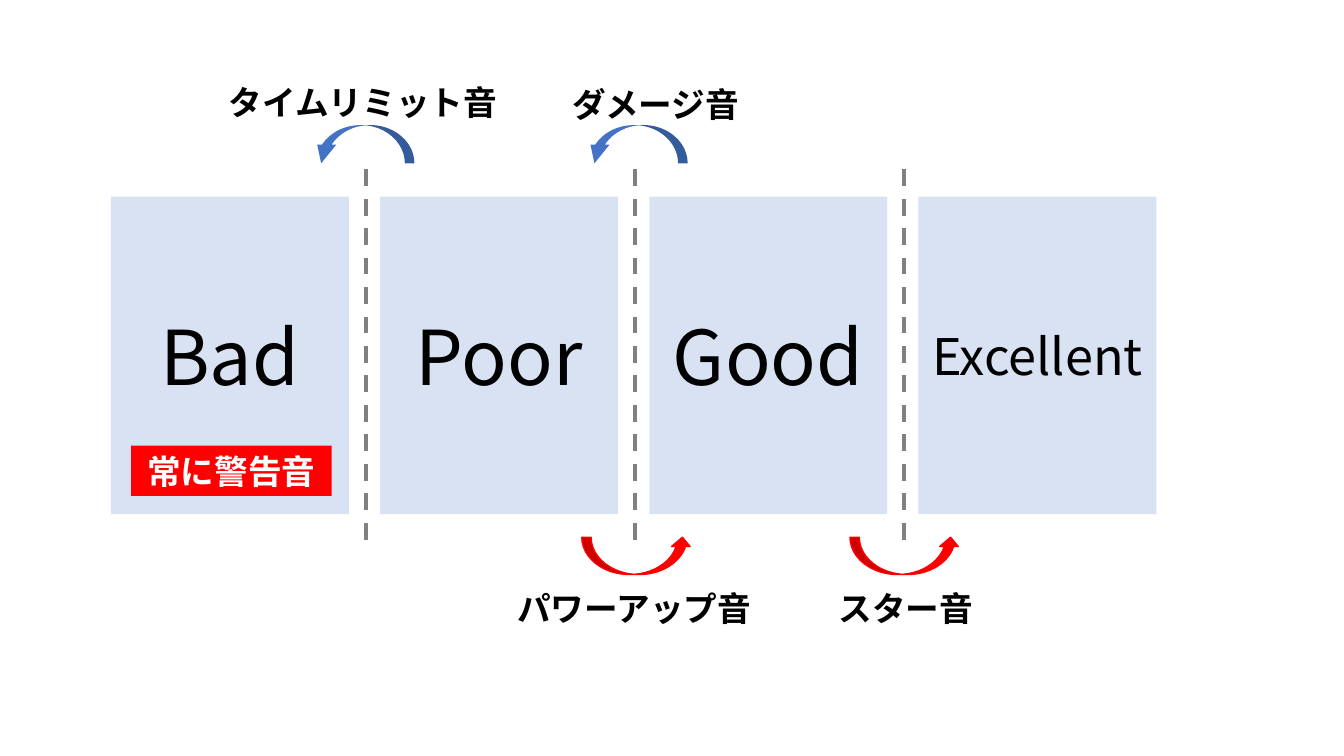
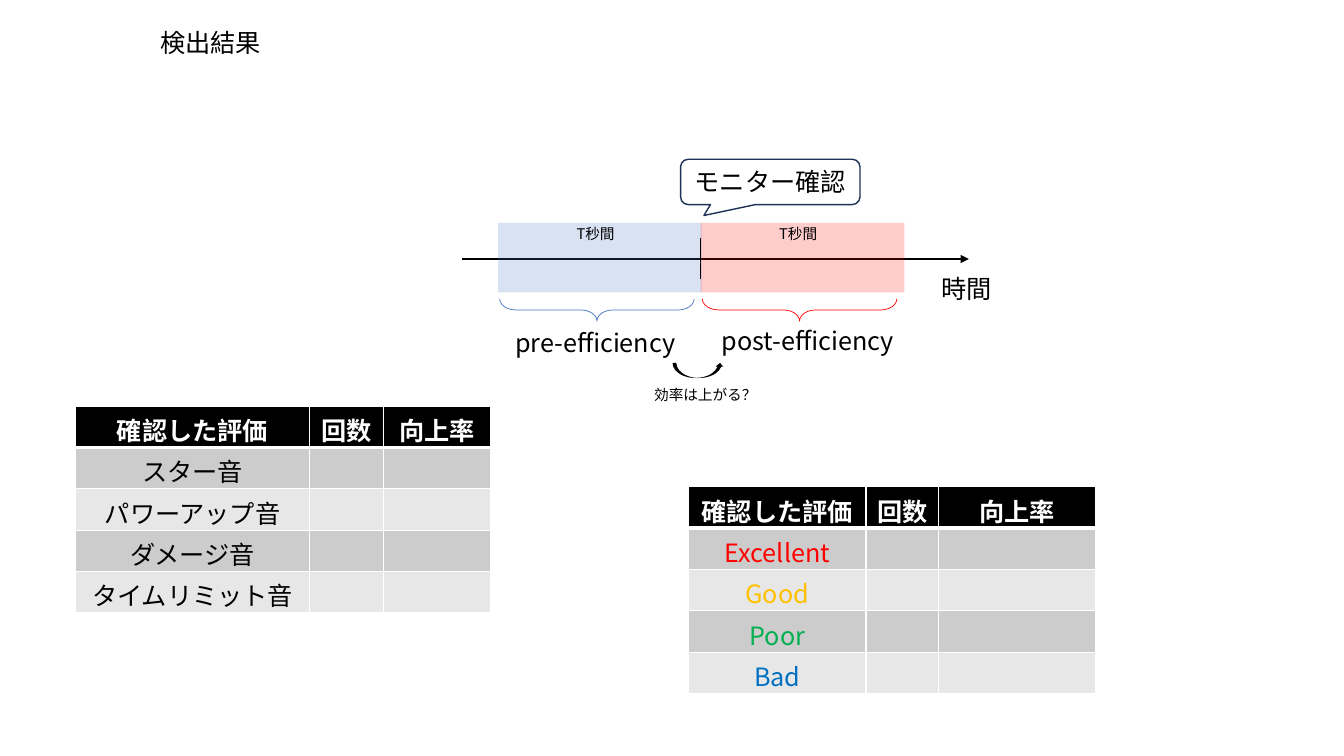
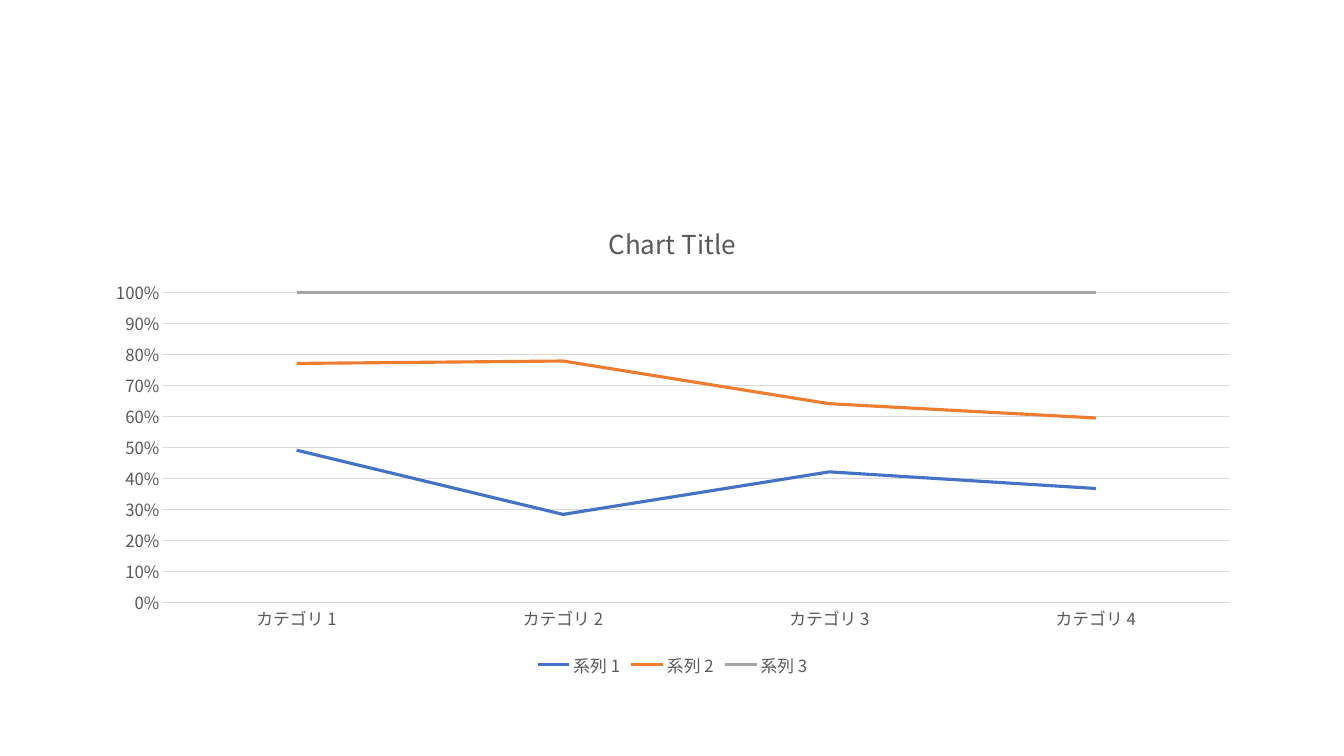
from dataclasses import dataclass

from lxml.etree import SubElement
from pptx import Presentation
from pptx.chart.data import CategoryChartData
from pptx.dml.color import RGBColor
from pptx.enum.chart import XL_CHART_TYPE, XL_LEGEND_POSITION, XL_TICK_MARK
from pptx.enum.dml import MSO_LINE
from pptx.enum.shapes import MSO_CONNECTOR, MSO_SHAPE
from pptx.enum.text import MSO_ANCHOR, MSO_AUTO_SIZE, PP_ALIGN
from pptx.oxml.ns import qn
from pptx.util import Inches, Pt


@dataclass(frozen=True)
class Theme:
    """Colours, type sizes and font shared by all slides."""
    font: str = "Noto Sans CJK JP"
    black: str = "000000"
    white: str = "FFFFFF"
    blue: str = "4472C4"
    red: str = "FF0000"
    gray: str = "808080"
    navy: str = "1E3256"
    ink: str = "595959"
    rule: str = "D9D9D9"
    bands: tuple = ("CCCCCC", "E7E7E7")
    grades: tuple = ("FF0000", "FFC000", "00B050", "0070C0")
    series: tuple = ("4472C4", "ED7D31", "A5A5A5")
    huge: float = 54
    large: float = 36
    label: float = 24
    head: float = 18.6
    body: float = 18
    axis: float = 12
    small: float = 10.5


def box(at):
    """Turn numbers into inch lengths."""
    return [Inches(n) for n in at]


class Deck:
    """Holds the style and the current slide, and draws on it."""

    def __init__(self, theme):
        """Start an empty wide deck."""
        self.theme = theme
        self.show = Presentation()
        self.show.slide_width, self.show.slide_height = box((13.33, 7.5))

    def page(self, title=None, at=None):
        """Add a slide, with a title when one is given."""
        layout = self.show.slide_layouts[5 if title else 6]
        self.slide = self.show.slides.add_slide(layout)
        if title:
            head = self.slide.shapes.title
            head.left, head.top, head.width, head.height = box(at)
            self.put(head.text_frame, title, self.theme.body)
            head.text_frame.auto_size = MSO_AUTO_SIZE.NONE

    def style(self, font, size, color, bold=False):
        """Format a font."""
        font.name, font.size, font.bold = self.theme.font, Pt(size), bold
        font.color.rgb = RGBColor.from_string(color)

    def put(self, frame, text, size, color=None, bold=False,
            align=PP_ALIGN.LEFT, anchor=MSO_ANCHOR.TOP):
        """Put one run into a text frame."""
        frame.word_wrap = True
        frame.vertical_anchor = anchor
        para = frame.paragraphs[0]
        para.alignment = align
        run = para.add_run()
        run.text = text
        self.style(run.font, size, color or self.theme.black, bold)

    def text(self, at, words, size, bold=False):
        """Add a text box."""
        frame = self.slide.shapes.add_textbox(*box(at)).text_frame
        self.put(frame, words, size, bold=bold)
        frame.auto_size = MSO_AUTO_SIZE.SHAPE_TO_FIT_TEXT

    def shape(self, kind, at, fill=None, alpha=None, line=None, width=1,
              turn=0, adjust=(), words="", size=None, color=None, bold=False):
        """Add a preset shape with optional centred text."""
        item = self.slide.shapes.add_shape(kind, *box(at))
        item.shadow.inherit = False
        item.rotation = turn
        for spot, value in enumerate(adjust):
            item.adjustments[spot] = value
        if fill:
            item.fill.solid()
            item.fill.fore_color.rgb = RGBColor.from_string(fill)
        else:
            item.fill.background()
        if alpha:
            tint = item.element.spPr.find(qn("a:solidFill"))[0]
            SubElement(tint, qn("a:alpha"), val=str(alpha * 1000))
        if line:
            item.line.color.rgb = RGBColor.from_string(line)
            item.line.width = Pt(width)
        else:
            item.line.fill.background()
        if words:
            self.put(item.text_frame, words, size, color, bold,
                     PP_ALIGN.CENTER, MSO_ANCHOR.MIDDLE)

    def line(self, ends, color, width, dash=None, arrow=False):
        """Add a straight line or arrow."""
        item = self.slide.shapes.add_connector(MSO_CONNECTOR.STRAIGHT, *box(ends))
        item.line.color.rgb = RGBColor.from_string(color)
        item.line.width = Pt(width)
        if dash:
            item.line.dash_style = dash
        props = item.element.spPr
        if arrow:
            SubElement(props.find(qn("a:ln")), qn("a:tailEnd"), type="triangle")
        SubElement(props, qn("a:effectLst"))

    def edge(self, cell, row):
        """Rule a cell in white, heavy below the header."""
        heavy = {"T": row == 1, "B": row == 0}
        props = cell._tc.get_or_add_tcPr()
        for side in "LRTB":
            width = Pt(3 if heavy.get(side) else 1)
            rule = SubElement(props, qn("a:ln" + side), w=str(width))
            fill = SubElement(rule, qn("a:solidFill"))
            SubElement(fill, qn("a:srgbClr"), val=self.theme.white)

    def table(self, spot, widths, heads, names, colors, high=0.41):
        """Add a table with names in its first column."""
        theme = self.theme
        rows = [heads] + [(name, "", "") for name in names]
        at = (*spot, sum(widths), high * len(rows))
        grid = self.slide.shapes.add_table(len(rows), len(widths), *box(at)).table
        grid.horz_banding = False
        for col, width in zip(grid.columns, widths):
            col.width = Inches(width)
        for r, row in enumerate(rows):
            for c, words in enumerate(row):
                cell = grid.cell(r, c)
                self.edge(cell, r)
                back = theme.bands[(r - 1) % 2] if r else theme.black
                cell.fill.solid()
                cell.fill.fore_color.rgb = RGBColor.from_string(back)
                if words:
                    color = colors[r - 1] if r else theme.white
                    para = cell.text_frame.paragraphs[0]
                    para.alignment = PP_ALIGN.CENTER
                    run = para.add_run()
                    run.text = words
                    self.style(run.font, theme.body, color, r == 0)

    def chart(self, at, title, cats, series):
        """Add a full-stacked line chart."""
        theme = self.theme
        data = CategoryChartData()
        data.categories = cats
        for name, values in series:
            data.add_series(name, values)
        chart = self.slide.shapes.add_chart(
            XL_CHART_TYPE.LINE_STACKED_100, *box(at), data).chart
        self.style(chart.font, theme.axis, theme.ink)
        chart.has_title = True
        run = chart.chart_title.text_frame.paragraphs[0].add_run()
        run.text = title
        self.style(run.font, theme.head, theme.ink)
        chart.has_legend = True
        chart.legend.position = XL_LEGEND_POSITION.BOTTOM
        chart.legend.include_in_layout = False
        self.style(chart.legend.font, theme.axis, theme.ink)
        rule = RGBColor.from_string(theme.rule)
        for axis in (chart.category_axis, chart.value_axis):
            axis.major_tick_mark = axis.minor_tick_mark = XL_TICK_MARK.NONE
            self.style(axis.tick_labels.font, theme.axis, theme.ink)
        chart.category_axis.format.line.color.rgb = rule
        chart.category_axis.format.line.width = Pt(0.75)
        scale = chart.value_axis
        scale.format.line.fill.background()
        scale.tick_labels.number_format = "0%"
        scale.tick_labels.number_format_is_linked = False
        scale.major_gridlines.format.line.color.rgb = rule
        scale.major_gridlines.format.line.width = Pt(0.75)
        chart.plots[0].vary_by_categories = False
        for item, color in zip(chart.plots[0].series, theme.series):
            item.smooth = False
            item.format.line.color.rgb = RGBColor.from_string(color)
            item.format.line.width = Pt(2.25)
        self.asian(chart.element)

    def asian(self, root):
        """Use the same font for Japanese text."""
        for latin in list(root.iter(qn("a:latin"))):
            east = SubElement(latin.getparent(), qn("a:ea"), typeface=self.theme.font)
            latin.addnext(east)

    def finish(self):
        """Set Japanese fonts on every slide."""
        for slide in self.show.slides:
            self.asian(slide.element)
        return self.show


def states(deck):
    """Draw the four ratings and the sounds between them."""
    theme = deck.theme
    deck.page()
    left, step = 1.1, 2.67
    for n, name in enumerate(("Bad", "Poor", "Good", "Excellent")):
        x = left + n * step
        size = theme.large if name == "Excellent" else theme.huge
        deck.shape(MSO_SHAPE.RECTANGLE, (x, 1.95, 2.36, 3.15), theme.blue, 20,
                   words=name, size=size)
        if n:
            deck.line((x - 0.14, 1.68, x - 0.14, 5.43), theme.gray, 3, MSO_LINE.DASH)
    for x in (5.77, 8.43):
        deck.shape(MSO_SHAPE.CURVED_UP_ARROW, (x, 5.33, 1.09, 0.37),
                   theme.red, line=theme.red)
    for x in (3.09, 5.8):
        deck.shape(MSO_SHAPE.CURVED_UP_ARROW, (x, 1.24, 1.02, 0.38), theme.blue,
                   turn=180, adjust=(0.25, 0.5, 0.49))
    for x, y, width, words in (
            (2.17, 0.76, 2.91, "タイムリミット音"), (5.58, 0.78, 2.17, "ダメージ音"),
            (5.03, 5.78, 2.64, "パワーアップ音"), (8.22, 5.78, 2.17, "スター音")):
        deck.text((x, y, width, 0.5), words, theme.label, True)
    deck.shape(MSO_SHAPE.RECTANGLE, (1.3, 4.42, 1.99, 0.5), theme.red,
               words="常に警告音", size=theme.label, color=theme.white, bold=True)


def results(deck):
    """Draw the timeline and both result tables."""
    theme = deck.theme
    deck.page("検出結果", (1.49, 0.22, 1.32, 0.4))
    deck.line((4.58, 2.57, 9.61, 2.57), theme.black, 1.5, arrow=True)
    deck.text((9.24, 2.66, 0.7, 0.4), "時間", theme.body)
    deck.shape(MSO_SHAPE.ROUNDED_RECTANGULAR_CALLOUT, (6.75, 1.58, 1.78, 0.45),
               line=theme.navy, adjust=(-0.37, 0.74, 0.17),
               words="モニター確認", size=theme.body)
    for x, color in ((4.94, theme.blue), (6.95, theme.red)):
        deck.shape(MSO_SHAPE.RECTANGLE, (x, 2.21, 2.02, 0.69), color, 20)
        deck.shape(MSO_SHAPE.RIGHT_BRACE, (x + 0.87, 2.11, 0.22, 1.93),
                   line=color, width=0.5, turn=90, adjust=(0.73, 0.5))
        deck.text((x + 0.68, 2.18, 0.6, 0.28), "T秒間", theme.small)
    deck.line((6.95, 2.36, 6.95, 2.77), theme.black, 1)
    deck.text((5.01, 3.2, 1.82, 0.4), "pre-efficiency", theme.body)
    deck.text((7.06, 3.18, 2.02, 0.4), "post-efficiency", theme.body)
    deck.shape(MSO_SHAPE.CURVED_UP_ARROW, (6.67, 3.6, 0.51, 0.15), theme.black)
    deck.text((6.39, 3.78, 1.25, 0.28), "効率は上がる？", theme.small)
    heads = ("確認した評価", "回数", "向上率")
    deck.table((0.75, 4.03), (2.32, 0.73, 1.07), heads,
               ("スター音", "パワーアップ音", "ダメージ音", "タイムリミット音"),
               (theme.black,) * 4)
    deck.table((6.83, 4.83), (1.76, 0.72, 1.56), heads,
               ("Excellent", "Good", "Poor", "Bad"), theme.grades)


def trend(deck):
    """Draw the chart slide."""
    deck.page()
    deck.chart((0.92, 2, 11.5, 4.76), "Chart Title",
               [f"カテゴリ {n}" for n in range(1, 5)],
               (("系列 1", (49, 28, 42, 37)), ("系列 2", (28, 49, 22, 23)),
                ("系列 3", (23, 22, 36, 41))))


def main():
    """Build and save the deck."""
    deck = Deck(Theme())
    for draw in (states, results, trend):
        draw(deck)
    deck.finish().save("out.pptx")


if __name__ == "__main__":
    main()
